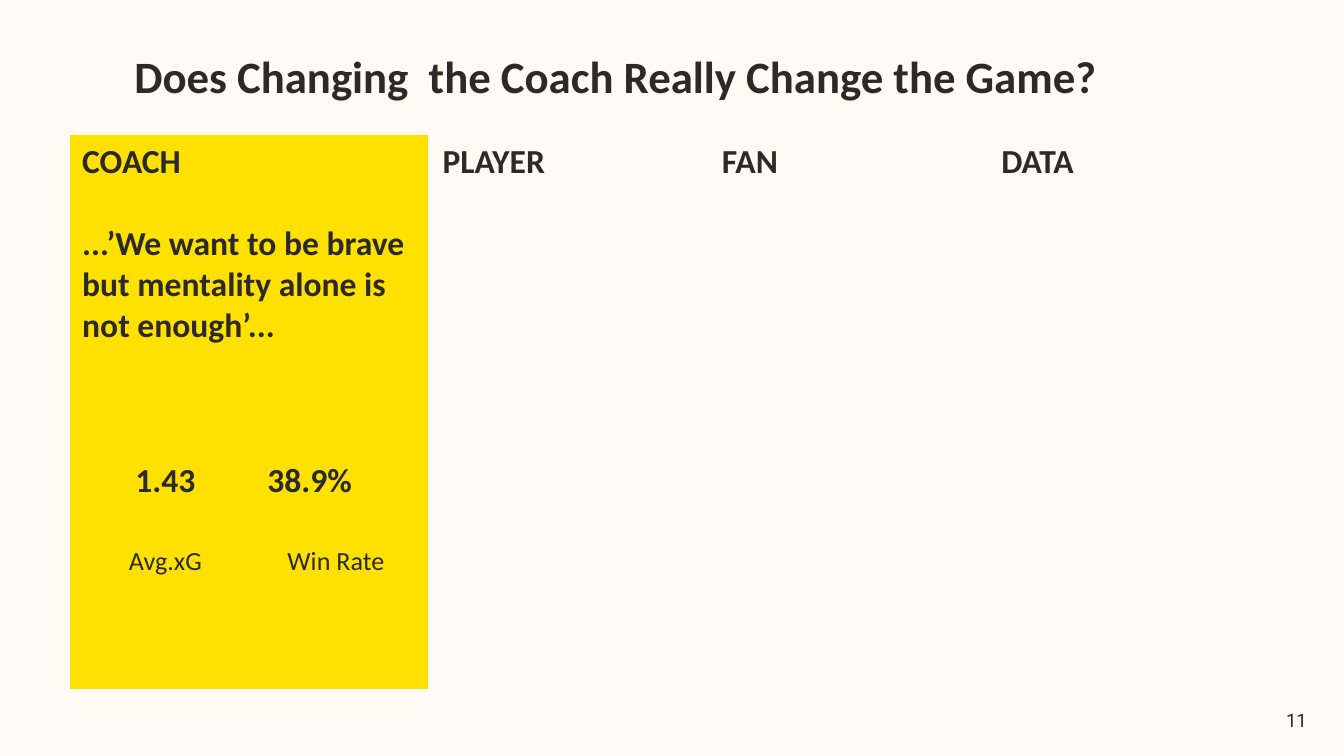
from dataclasses import dataclass

from lxml import etree
from pptx import Presentation
from pptx.dml.color import RGBColor
from pptx.enum.text import MSO_ANCHOR, PP_ALIGN
from pptx.oxml.ns import qn
from pptx.util import Cm, Pt

LEFT, CENTER, RIGHT = PP_ALIGN.LEFT, PP_ALIGN.CENTER, PP_ALIGN.RIGHT
TOP, MIDDLE = MSO_ANCHOR.TOP, MSO_ANCHOR.MIDDLE


@dataclass(frozen=True)
class Theme:
    paper: str = "FFFAF3"
    ink: str = "2B292A"
    highlight: str = "FEE100"
    font: str = "Calibri"
    number_font: str = "Roboto"
    title: int = 24
    body: int = 18
    label: int = 14
    number: int = 10
    quote_gap: int = 22


THEME = Theme()


def write(para, text, size, bold=True, font=THEME.font, align=LEFT):
    para.alignment = align
    span = para.add_run()
    span.text = text
    span.font.name = font
    span.font.size = Pt(size)
    span.font.bold = bold
    span.font.color.rgb = RGBColor.from_string(THEME.ink)


def add_text(page, place, text, size, inset=None, **style):
    box = page.shapes.add_textbox(*(Cm(length) for length in place))
    frame = box.text_frame
    frame.word_wrap = True
    if inset is not None:
        frame.margin_left = frame.margin_right = Cm(inset)
        frame.margin_top = frame.margin_bottom = Cm(inset)
    write(frame.paragraphs[0], text, size, **style)


def set_borders(cell, widths, color):
    properties = cell._tc.get_or_add_tcPr()
    for side, width in zip("LRTB", widths):
        line = etree.SubElement(properties, qn(f"a:ln{side}"), w=str(Pt(width)))
        if width:
            fill = etree.SubElement(line, qn("a:solidFill"))
            etree.SubElement(fill, qn("a:srgbClr"), val=color)
        else:
            etree.SubElement(line, qn("a:noFill"))


def add_table(page, left, top, columns, rows, borders, anchor):
    table = page.shapes.add_table(
        len(rows), len(columns), Cm(left), Cm(top), Cm(sum(columns)), Cm(sum(rows))
    ).table
    table.first_row = table.horz_banding = False
    for column, width in zip(table.columns, columns):
        column.width = Cm(width)
    for row, height in zip(table.rows, rows):
        row.height = Cm(height)
    for cell in table.iter_cells():
        set_borders(cell, borders, THEME.paper)
        cell.fill.background()
        cell.vertical_anchor = anchor
    return table


def add_perspectives(page):
    table = add_table(
        page, 1.3, 2.54, [6.81, 5.28, 5.28, 5.28], [10.54], (1, 1, 1, 3), TOP
    )
    for cell, heading in zip(table.iter_cells(), ("COACH", "PLAYER", "FAN", "DATA")):
        write(cell.text_frame.paragraphs[0], heading, THEME.body)
    coach = table.cell(0, 0)
    coach.fill.solid()
    coach.fill.fore_color.rgb = RGBColor.from_string(THEME.highlight)
    quote = coach.text_frame.add_paragraph()
    quote.space_before = Pt(THEME.quote_gap)
    write(quote, "...’We want to be brave but mentality alone is not enough’...", THEME.body)


def add_figures(page):
    table = add_table(page, 1.45, 8.33, [3.35, 3.1], [1.52, 1.52], (0, 0, 0, 0), MIDDLE)
    figures = (("1.43", "Avg.xG", CENTER), ("38.9%", "Win Rate", LEFT))
    for column, (value, label, align) in enumerate(figures):
        value_para = table.cell(0, column).text_frame.paragraphs[0]
        label_para = table.cell(1, column).text_frame.paragraphs[0]
        write(value_para, value, THEME.body, align=align)
        write(label_para, label, THEME.label, bold=False, align=CENTER)


def main():
    deck = Presentation()
    deck.slide_width, deck.slide_height = Cm(25.4), Cm(14.29)
    page = deck.slides.add_slide(deck.slide_layouts[6])
    page.background.fill.solid()
    page.background.fill.fore_color.rgb = RGBColor.from_string(THEME.paper)
    add_text(
        page, (24.05, 13.18, 0.9, 0.86), "11", THEME.number,
        inset=0.25, bold=False, font=THEME.number_font, align=RIGHT,
    )
    add_perspectives(page)
    add_text(
        page, (2.29, 0.79, 22.1, 1.27),
        "Does Changing  the Coach Really Change the Game?", THEME.title,
    )
    add_figures(page)
    deck.save("out.pptx")


if __name__ == "__main__":
    main()
